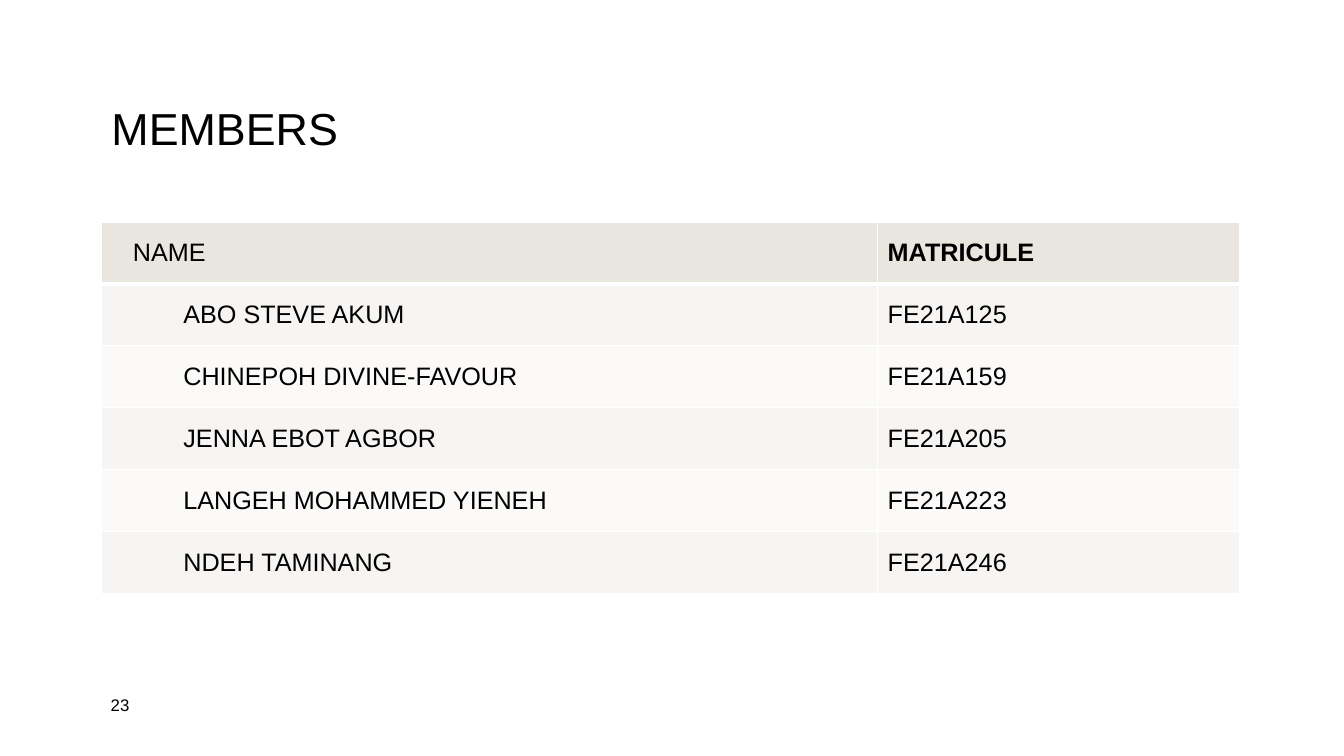
from dataclasses import dataclass

from lxml.etree import SubElement
from pptx import Presentation
from pptx.dml.color import RGBColor
from pptx.enum.text import MSO_ANCHOR
from pptx.oxml.ns import qn
from pptx.slide import Slide
from pptx.table import _Cell
from pptx.text.text import TextFrame
from pptx.util import Pt

BLACK = RGBColor(0x00, 0x00, 0x00)
WHITE = RGBColor(0xFF, 0xFF, 0xFF)
HEADER_FILL = RGBColor(0xE9, 0xE6, 0xDF)
BAND_FILLS = (RGBColor(0xF7, 0xF5, 0xF3), RGBColor(0xFB, 0xFA, 0xF9))

COLUMN_WIDTHS = (554.4, 258.5)
ROW_HEIGHT = 44.25
NAME_MARGIN = 22.5
NAME_INDENT = 36


@dataclass(frozen=True)
class Label:
    text: str
    left: float
    top: float
    width: float
    height: float
    size: float
    line_spacing: float = 1.0


@dataclass(frozen=True)
class Member:
    name: str
    matricule: str


LABELS = (
    Label("MEMBERS", 72.5, 46, 815, 95, 32, 0.9),
    Label("23", 72, 491.8, 49.7, 23, 12),
)
HEADER = Member("NAME", "MATRICULE")
MEMBERS = (
    Member("ABO STEVE AKUM", "FE21A125"),
    Member("CHINEPOH DIVINE-FAVOUR", "FE21A159"),
    Member("JENNA EBOT AGBOR", "FE21A205"),
    Member("LANGEH MOHAMMED YIENEH", "FE21A223"),
    Member("NDEH TAMINANG", "FE21A246"),
)


def write_text(frame: TextFrame, text: str, size: float, bold: bool = False) -> None:
    paragraph = frame.paragraphs[0]
    run = paragraph.add_run()
    run.text = text
    font_format = {"name": "Arial", "size": Pt(size), "bold": bold}
    for attribute, value in font_format.items():
        setattr(run.font, attribute, value)
    run.font.color.rgb = BLACK


def add_label(slide: Slide, label: Label) -> None:
    shape = slide.shapes.add_textbox(
        Pt(label.left), Pt(label.top), Pt(label.width), Pt(label.height)
    )
    frame = shape.text_frame
    frame.word_wrap = True
    frame.vertical_anchor = MSO_ANCHOR.MIDDLE
    write_text(frame, label.text, label.size)
    frame.paragraphs[0].line_spacing = label.line_spacing


def set_borders(cell: _Cell, widths: dict[str, float]) -> None:
    properties = cell._tc.get_or_add_tcPr()
    for position, (side, width) in enumerate(widths.items()):
        line = SubElement(properties, qn(f"a:ln{side}"), w=str(Pt(width)))
        fill = SubElement(line, qn("a:solidFill"))
        SubElement(fill, qn("a:srgbClr"), val=str(WHITE))
        # Border lines come before the cell fill
        properties.insert(position, line)


def add_members_table(slide: Slide) -> None:
    rows = (HEADER, *MEMBERS)
    table = slide.shapes.add_table(
        len(rows), len(COLUMN_WIDTHS), Pt(72.5), Pt(158.5),
        Pt(sum(COLUMN_WIDTHS)), Pt(ROW_HEIGHT * len(rows)),
    ).table
    table.first_row = False
    table.horz_banding = False
    for column, width in zip(table.columns, COLUMN_WIDTHS):
        column.width = Pt(width)

    for row_index, member in enumerate(rows):
        is_header = row_index == 0
        table.rows[row_index].height = Pt(ROW_HEIGHT)
        for column_index, text in enumerate((member.name, member.matricule)):
            cell = table.cell(row_index, column_index)
            is_name = column_index == 0
            cell_format = {
                "vertical_anchor": MSO_ANCHOR.MIDDLE,
                "margin_left": Pt(NAME_MARGIN if is_name else 7.2),
            }
            for attribute, value in cell_format.items():
                setattr(cell, attribute, value)
            cell.fill.solid()
            cell.fill.fore_color.rgb = (
                HEADER_FILL if is_header else BAND_FILLS[(row_index - 1) % 2]
            )
            top = 3 if row_index == 1 else 1
            bottom = 3 if is_header else 1
            set_borders(cell, {"L": 1, "R": 1, "T": top, "B": bottom})
            write_text(cell.text_frame, text, 18, is_header and not is_name)
            # Member names sit one level in
            if is_name and not is_header:
                paragraph = cell.text_frame.paragraphs[0]
                paragraph.level = 1
                paragraph_properties = paragraph._p.get_or_add_pPr()
                paragraph_properties.set("marL", str(Pt(NAME_INDENT)))
                paragraph_properties.set("indent", "0")


def main() -> None:
    presentation = Presentation()
    presentation.slide_width = Pt(960)
    presentation.slide_height = Pt(540)
    slide = presentation.slides.add_slide(presentation.slide_layouts[6])

    # Title and slide number
    for label in LABELS:
        add_label(slide, label)

    # Members and their matricules
    add_members_table(slide)

    presentation.save("out.pptx")


if __name__ == "__main__":
    main()
